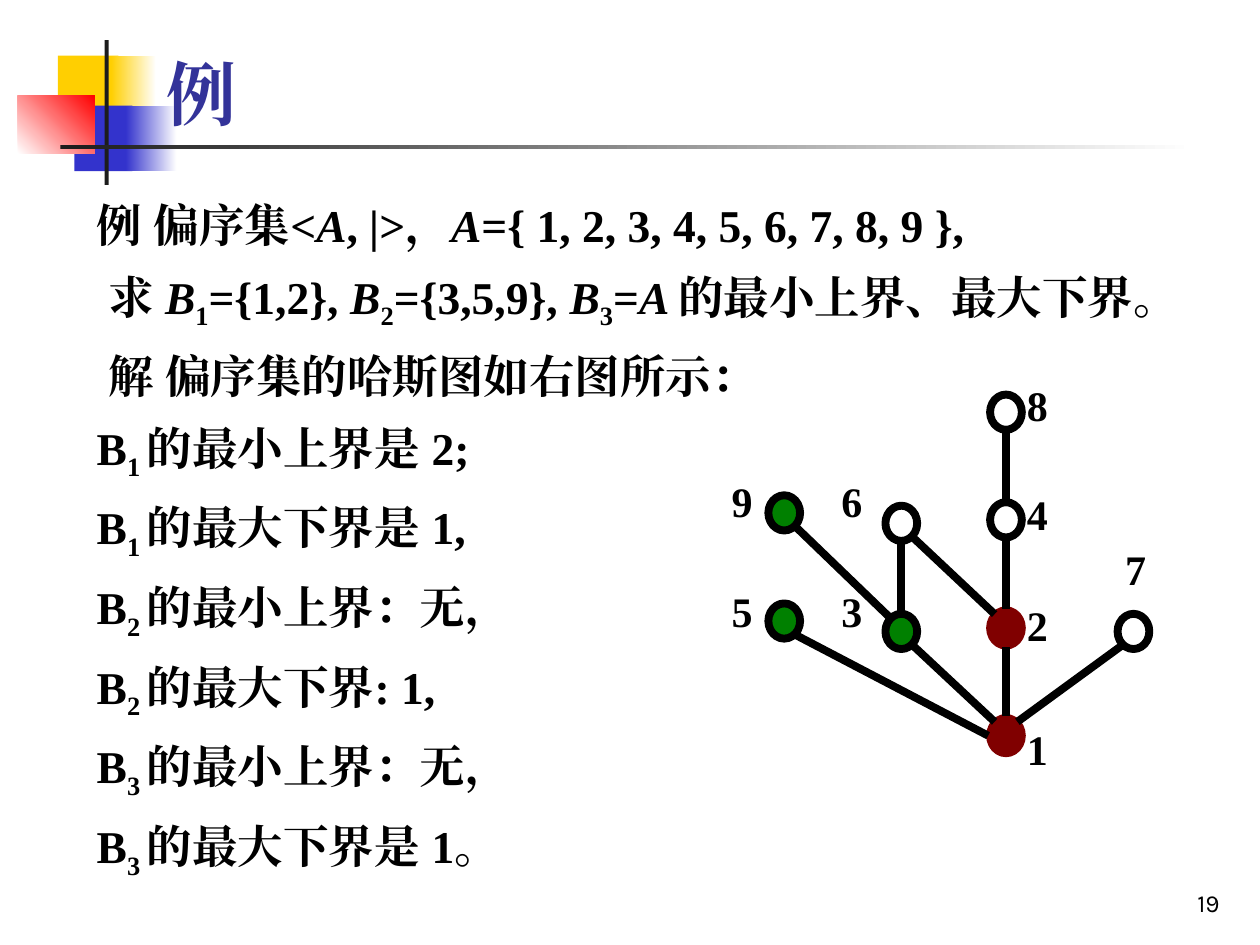
from lxml import etree
from pptx import Presentation
from pptx.dml.color import RGBColor
from pptx.enum.dml import MSO_FILL
from pptx.enum.lang import MSO_LANGUAGE_ID
from pptx.enum.shapes import MSO_CONNECTOR, MSO_SHAPE
from pptx.enum.text import MSO_ANCHOR, MSO_AUTO_SIZE, PP_ALIGN
from pptx.oxml.ns import qn
from pptx.util import Cm, Pt

RECTANGLE, OVAL = MSO_SHAPE.RECTANGLE, MSO_SHAPE.OVAL
STRAIGHT = MSO_CONNECTOR.STRAIGHT
TOP, BOTTOM = MSO_ANCHOR.TOP, MSO_ANCHOR.BOTTOM
LEFT, RIGHT = PP_ALIGN.LEFT, PP_ALIGN.RIGHT
NO_FIT, GROW = MSO_AUTO_SIZE.NONE, MSO_AUTO_SIZE.SHAPE_TO_FIT_TEXT
CHINESE = MSO_LANGUAGE_ID.SIMPLIFIED_CHINESE

BLACK = RGBColor(0x00, 0x00, 0x00)
WHITE = RGBColor(0xFF, 0xFF, 0xFF)
YELLOW = RGBColor(0xFF, 0xCF, 0x01)
BLUE = RGBColor(0x33, 0x33, 0xCC)
RED = RGBColor(0xFF, 0x00, 0x00)
CHARCOAL = RGBColor(0x1C, 0x1C, 0x1C)
INDIGO = RGBColor(0x33, 0x33, 0x99)
MAROON = RGBColor(0x80, 0x00, 0x00)
GREEN = RGBColor(0x00, 0x80, 0x00)

SERIF, SANS, NUMBERS = "Times New Roman", "Noto Sans CJK SC", "Karla"

DECORATION = [
    ((1.17, 1.12, 1.22, 1.32), [YELLOW], 0),
    ((2.24, 1.12, 0.91, 1.32), [YELLOW, WHITE], 0),
    ((1.5, 2.13, 1.17, 1.32), [BLUE], 0),
    ((2.54, 2.13, 1.02, 1.32), [BLUE, WHITE], 0),
    ((0.36, 1.93, 1.55, 1.17), [WHITE, RED], 45),
    ((2.11, 0.81, 0.08, 2.92), [CHARCOAL], 0),
    ((1.22, 2.92, 22.86, 0.08), [CHARCOAL, WHITE], 0),
]

PLAIN, ITALIC, SUB, CJK = {}, {"italic": True}, {"sub": True}, {"name": SANS}
PROBLEM = [
    [("例 偏序集<", PLAIN), ("A", ITALIC), (", ", PLAIN), ("|", ITALIC),
     (">，", PLAIN), ("A", ITALIC), ("={ 1, 2, 3, 4, 5, 6, 7, 8, 9 },", PLAIN)],
    [(" 求 ", PLAIN), ("B", ITALIC), ("1", SUB), ("={1,2}, ", PLAIN),
     ("B", ITALIC), ("2", SUB), ("={3,5,9}, ", PLAIN), ("B", ITALIC), ("3", SUB),
     ("=", PLAIN), ("A ", ITALIC), ("的最小上界、最大下界。", PLAIN)],
    [(" 解 ", PLAIN), ("偏序集的哈斯图如右图所示：", CJK)],
]
ANSWERS = [
    ("1", "的最小上界是 2;"),
    ("1", "的最大下界是 1,"),
    ("2", "的最小上界：无，"),
    ("2", "的最大下界: 1,"),
    ("3", "的最小上界：无，"),
    ("3", "的最大下界是 1。"),
]

NODES = {
    "8": ((20.28, 8.31), None, BLACK, (20.45, 7.42)),
    "4": ((20.28, 10.48), None, BLACK, (20.45, 9.63)),
    "2": ((20.28, 12.66), MAROON, MAROON, (20.45, 11.86)),
    "1": ((20.28, 14.83), MAROON, MAROON, (20.45, 14.35)),
    "6": ((18.17, 10.55), None, BLACK, (16.71, 9.37)),
    "3": ((18.17, 12.73), GREEN, BLACK, (16.71, 11.58)),
    "9": ((15.81, 10.34), GREEN, BLACK, (14.5, 9.37)),
    "5": ((15.81, 12.52), GREEN, BLACK, (14.5, 11.58)),
    "7": ((22.85, 12.73), None, BLACK, (22.43, 10.74)),
}
NODE_WIDTH, NODE_HEIGHT = 0.64, 0.71
SITES = {
    "top": (0, -0.39), "bottom": (0, 0.39), "left": (-0.36, 0),
    "top left": (-0.23, -0.28), "top right": (0.23, -0.28),
    "bottom left": (-0.23, 0.28), "bottom right": (0.23, 0.28),
}
EDGES = [
    ("7", "bottom left", "1", "top right"),
    ("1", "top", "2", "bottom"),
    ("2", "top", "4", "bottom"),
    ("4", "top", "8", "bottom"),
    ("2", "top left", "6", "bottom right"),
    ("1", "top left", "3", "bottom right"),
    ("3", "top", "6", "bottom"),
    ("3", "top left", "9", "bottom right"),
    ("1", "left", "5", "bottom right"),
]


def add_figure(shapes, kind, place, colours, angle=0, outline=None):
    figure = shapes.add_shape(kind, *map(Cm, place))
    figure.shadow.inherit = False
    if not colours:
        figure.fill.background()
    elif len(colours) == 1:
        figure.fill.solid()
        figure.fill.fore_color.rgb = colours[0]
    else:
        figure.fill.gradient()
        figure.fill.gradient_angle = angle
        for stop, colour in zip(figure.fill.gradient_stops, colours):
            stop.color.rgb = colour
    if outline is None:
        figure.line.fill.background()
    else:
        figure.line.color.rgb = outline
        figure.line.width = Pt(4.5)


def add_edge(shapes, lower, lower_site, upper, upper_site):
    ends = []
    for node, site in ((lower, lower_site), (upper, upper_site)):
        ends += [a + b for a, b in zip(NODES[node][0], SITES[site])]
    edge = shapes.add_connector(STRAIGHT, *map(Cm, ends))
    edge.line.color.rgb = BLACK
    edge.line.width = Pt(4.5)
    etree.SubElement(edge._element.spPr, qn("a:effectLst"))


def add_text(shapes, place, paragraphs, size, colour=BLACK, font=SERIF, bold=True,
             anchor=TOP, align=LEFT, fit=NO_FIT, spacing=None, before=0, hanging=0):
    box = shapes.add_textbox(*map(Cm, place))
    frame = box.text_frame
    settings = {"word_wrap": True, "auto_size": fit, "vertical_anchor": anchor}
    for key, value in settings.items():
        setattr(frame, key, value)
    for index, runs in enumerate(paragraphs):
        para = frame.add_paragraph() if index else frame.paragraphs[0]
        properties = para._p.get_or_add_pPr()
        properties.set("marL", str(Cm(hanging)))
        properties.set("indent", str(-Cm(hanging)))
        para.alignment = align
        para.line_spacing = spacing
        para.space_before = Pt(before if index else 0)
        for text, style in runs:
            span = para.add_run()
            span.text = text
            formats = {"name": font, "size": Pt(size), "bold": bold,
                       "language_id": CHINESE, **style}
            lowered = formats.pop("sub", False)
            for key, value in formats.items():
                setattr(span.font, key, value)
            span.font.color.rgb = colour
            character = span._r.get_or_add_rPr()
            etree.SubElement(character, qn("a:ea"), typeface=SERIF)
            if lowered:
                character.set("baseline", "-25000")


deck = Presentation()
deck.slide_width, deck.slide_height = Cm(25.4), Cm(19.05)
page = deck.slides.add_slide(deck.slide_layouts[6])

for place, colours, angle in DECORATION:
    add_figure(page.shapes, RECTANGLE, place, colours, angle)

add_text(page.shapes, (19.56, 17.35, 5.28, 1.27), [[("19", PLAIN)]], 14,
         font=NUMBERS, bold=False, anchor=BOTTOM, align=RIGHT)
add_text(page.shapes, (3.1, 0.71, 21.64, 2.13), [[("例", PLAIN)]], 40,
         colour=INDIGO, anchor=BOTTOM)
answers = [[("B", PLAIN), (number + " ", SUB), (text, PLAIN)] for number, text in ANSWERS]
add_text(page.shapes, (1.7, 3.73, 22.81, 14.15), PROBLEM + answers, 26,
         fit=GROW, spacing=1.1, before=6.5, hanging=0.97)

diagram = page.shapes.add_group_shape().shapes
for (x, y), fill, outline, corner in NODES.values():
    place = (x - NODE_WIDTH / 2, y - NODE_HEIGHT / 2, NODE_WIDTH, NODE_HEIGHT)
    add_figure(diagram, OVAL, place, [fill] if fill else [], outline=outline)
for edge in EDGES:
    add_edge(diagram, *edge)
for name, (centre, fill, outline, corner) in NODES.items():
    add_text(diagram, (*corner, 1.47, 1.37), [[(name, PLAIN)]], 24,
             fit=GROW, spacing=1.1, hanging=0.97)

deck.save("out.pptx")
